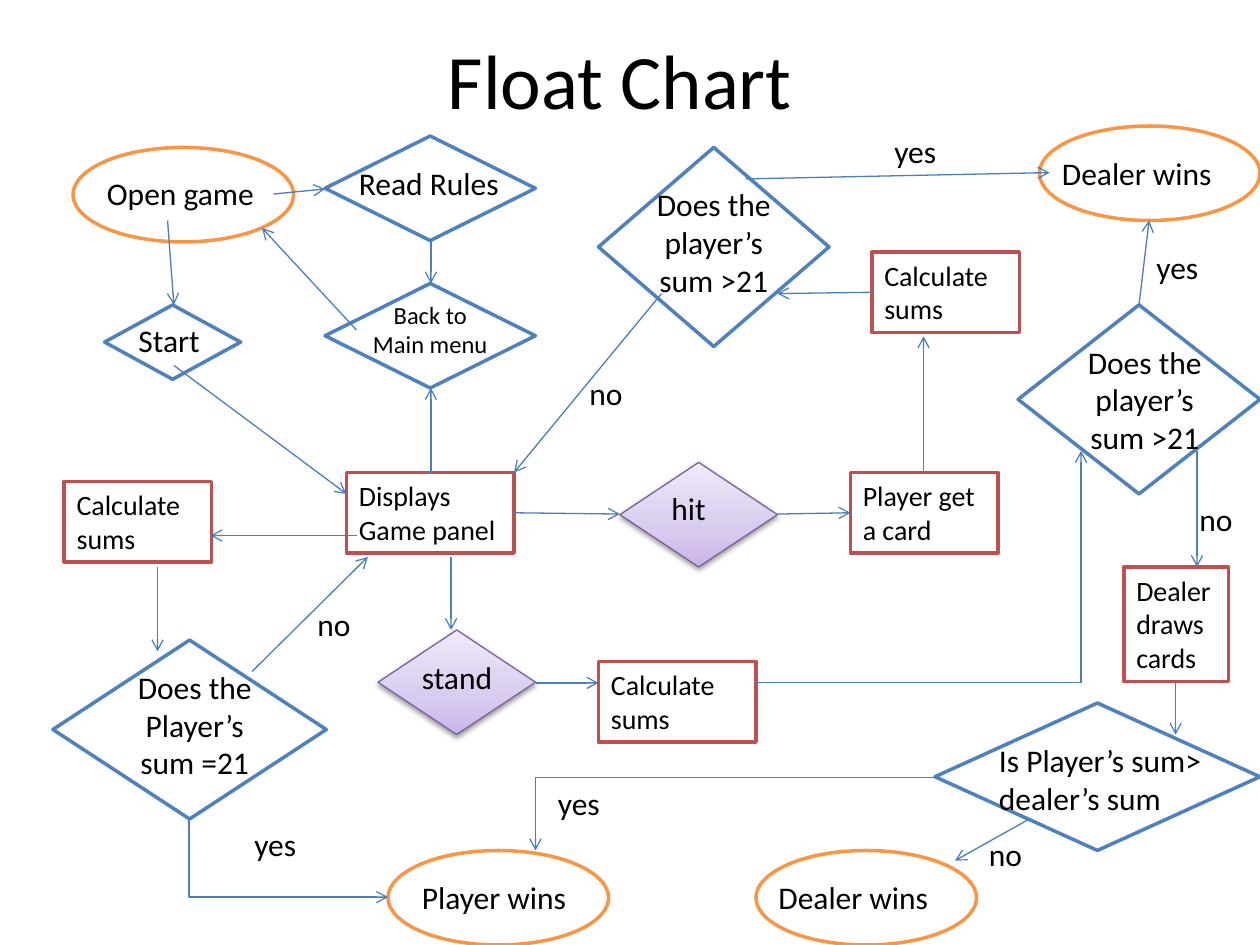
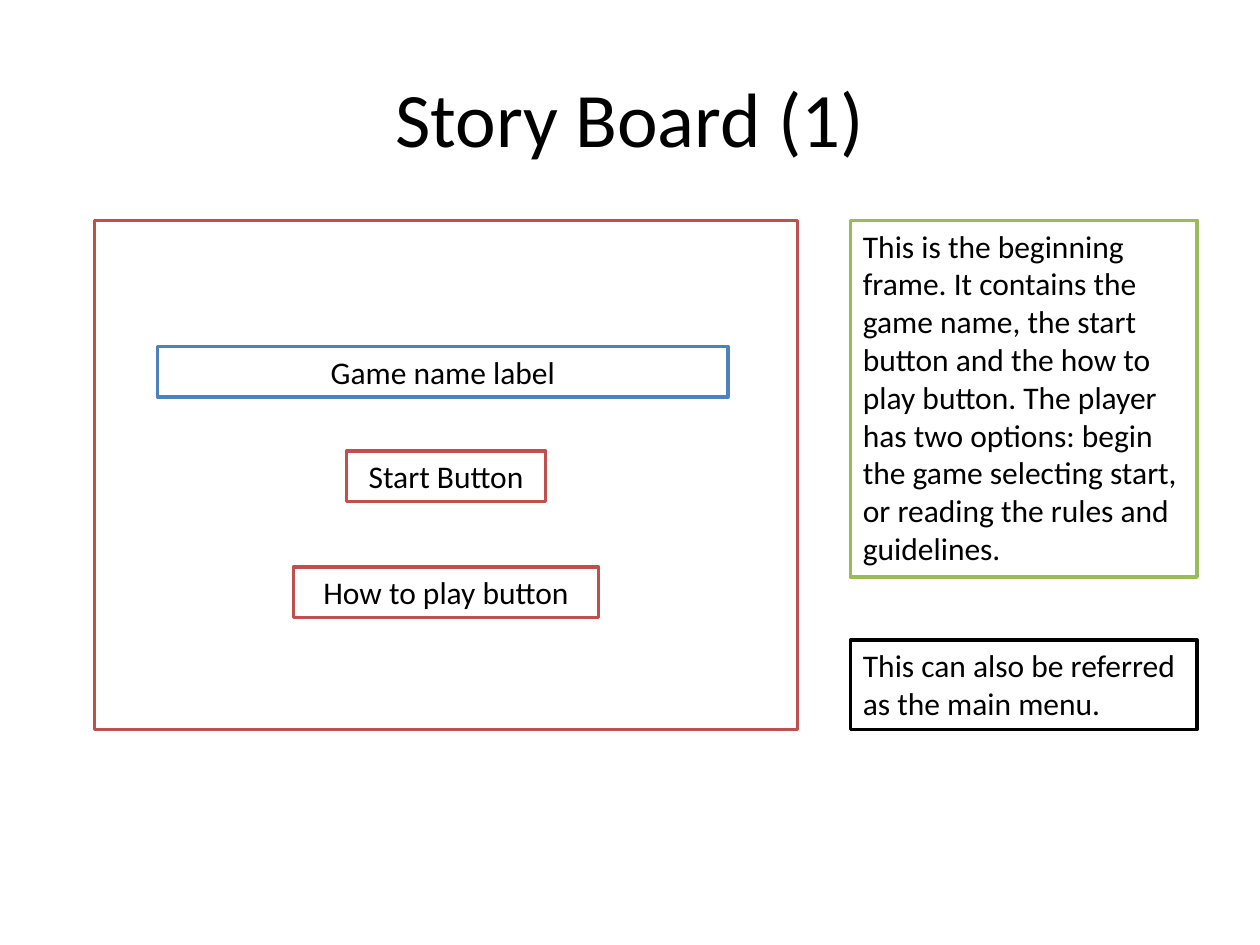
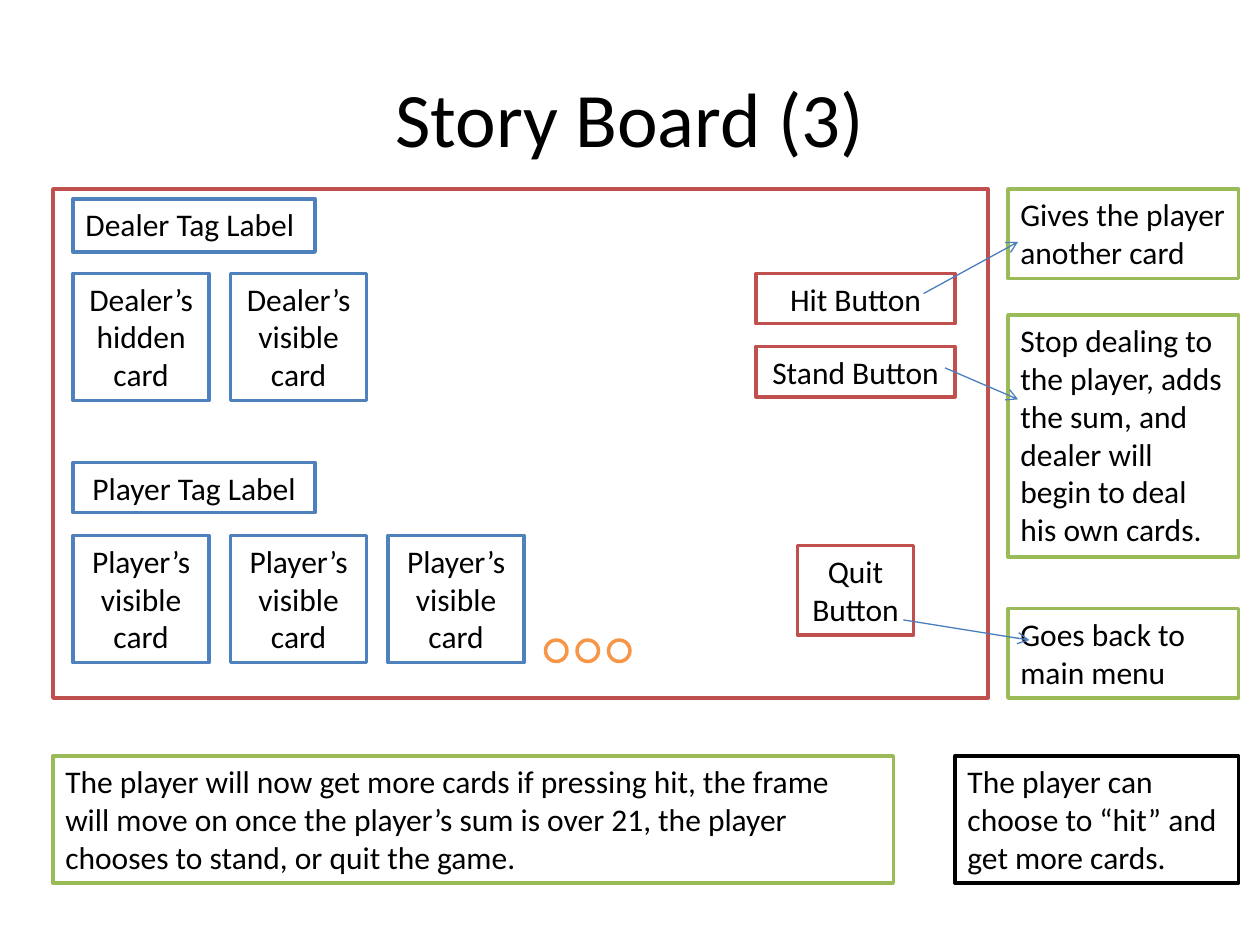
from copy import deepcopy
from dataclasses import dataclass

from lxml.etree import SubElement
from pptx import Presentation
from pptx.dml.color import RGBColor
from pptx.enum.shapes import MSO_CONNECTOR as LINK, MSO_SHAPE as GEOM
from pptx.enum.text import MSO_ANCHOR as ANCHOR, MSO_AUTO_SIZE as FIT, PP_ALIGN as ALIGN
from pptx.oxml.ns import qn
from pptx.util import Inches, Pt


@dataclass(frozen=True)
class Theme:
    font: str = "Calibri"
    ink: str = "000000"
    paper: str = "FFFFFF"
    blue: str = "4F81BD"
    red: str = "C0504D"
    green: str = "9BBB59"
    orange: str = "F79646"
    purple: str = "7D60A0"
    arrow: str = "4B7EBC"
    lilac: tuple = ((0, "C9B5E8"), (0.35, "D8CBEE"), (1, "F0EAF9"))
    title: int = 44
    body: int = 18
    step: int = 16
    small: int = 14
    outline: float = 2
    hairline: float = 0.75


THEME = Theme()


def rgb(code):
    return RGBColor.from_string(code)


class Board:
    """Holds the theme and the slide being drawn."""

    def __init__(self, theme):
        self.theme = theme
        self.deck = Presentation()
        self.deck.slide_width, self.deck.slide_height = Inches(10), Inches(7.5)

    def new_slide(self, heading, left=0.5, top=0.3):
        self.slide = self.deck.slides.add_slide(self.deck.slide_layouts[5])
        title = self.slide.shapes.title
        place = {"left": left, "top": top, "width": 9, "height": 1.25}
        for name, value in place.items():
            setattr(title, name, Inches(value))
        self.set_text(title, heading, self.theme.title, ALIGN.CENTER,
                      vertical_anchor=ANCHOR.MIDDLE, auto_size=FIT.NONE)

    def set_text(self, holder, text, size, align, **changes):
        frame = holder.text_frame
        layout = {"word_wrap": True, "auto_size": FIT.SHAPE_TO_FIT_TEXT,
                  "vertical_anchor": ANCHOR.TOP, **changes}
        for name, value in layout.items():
            setattr(frame, name, value)
        paragraph = frame.paragraphs[0]
        paragraph.alignment = align
        run = paragraph.add_run()
        run.text = text
        for name, value in {"name": self.theme.font, "size": Pt(size)}.items():
            setattr(run.font, name, value)
        run.font.color.rgb = rgb(self.theme.ink)

    def outline(self, geometry, color, *place, weight=None):
        shape = self.slide.shapes.add_shape(geometry, *map(Inches, place))
        shape.shadow.inherit = False
        shape.fill.solid()
        shape.fill.fore_color.rgb = rgb(self.theme.paper)
        shape.line.color.rgb = rgb(color)
        shape.line.width = Pt(weight or self.theme.outline)
        return shape

    def box(self, text, color, *place, align=ALIGN.LEFT, size=None):
        shape = self.outline(GEOM.RECTANGLE, color, *place)
        self.set_text(shape, text, size or self.theme.body, align)

    def label(self, text, *place, align=ALIGN.LEFT, size=None, wrap=True):
        holder = self.slide.shapes.add_textbox(*map(Inches, place))
        self.set_text(holder, text, size or self.theme.body, align, word_wrap=wrap)

    def choice(self, *place):
        """Lilac diamond with a soft shadow for a player's move."""
        shape = self.outline(GEOM.DIAMOND, self.theme.purple, *place,
                             weight=self.theme.hairline)
        shape.fill.gradient()
        shape.fill.gradient_angle = 90
        properties = shape._element.spPr
        stops = properties.find(".//" + qn("a:gsLst"))
        stops.insert(1, deepcopy(stops[0]))
        for stop, (position, color) in zip(shape.fill.gradient_stops, self.theme.lilac):
            stop.position = position
            stop.color.rgb = rgb(color)
        shadow = SubElement(properties.find(qn("a:effectLst")), qn("a:outerShdw"),
                            blurRad="40000", dist="20000", dir="5400000", rotWithShape="0")
        tone = SubElement(shadow, qn("a:srgbClr"), val=self.theme.ink)
        SubElement(tone, qn("a:alpha"), val="38000")

    def arrow(self, *ends, bend=None):
        """Straight arrow, or an elbow turning at the share bend of its width."""
        kind = LINK.STRAIGHT if bend is None else LINK.ELBOW
        link = self.slide.shapes.add_connector(kind, *map(Inches, ends))
        link.line.color.rgb = rgb(self.theme.arrow)
        link.line.width = Pt(self.theme.hairline)
        properties = link._element.spPr
        SubElement(properties.find(qn("a:ln")), qn("a:tailEnd"), type="arrow")
        SubElement(properties, qn("a:effectLst"))
        if bend is not None:
            guides = properties.find(".//" + qn("a:avLst"))
            SubElement(guides, qn("a:gd"), name="adj1", fmla=f"val {bend * 100000}")


def flow_chart(board):
    board.new_slide("Float Chart", 0.42, 0)

    # Outcomes and decisions
    for left, top in ((6, 6.75), (0.58, 1.17), (3.08, 6.75), (8.25, 1)):
        board.outline(GEOM.OVAL, THEME.orange, left, top, 1.75, 0.75)
    decisions = (
        (7.42, 5.58, 2.58, 1.17), (8.08, 2.42, 1.92, 1.5), (0.42, 5.08, 2.17, 1.42),
        (2.58, 2.25, 1.67, 0.83), (2.58, 1.08, 1.67, 0.83), (0.83, 2.42, 1.08, 0.59),
        (4.75, 1.17, 1.83, 1.58),
    )
    for place in decisions:
        board.outline(GEOM.DIAMOND, THEME.blue, *place)
    for left, top in ((4.92, 3.67), (3, 5)):
        board.choice(left, top, 1.25, 0.83)

    # Steps
    steps = (
        ("Player get a card", 6.75, 3.75, 1.17, 0.64),
        ("Displays Game panel", 2.75, 3.75, 1.33, 0.64),
        ("Calculate sums", 4.75, 5.25, 1.25, 0.64),
        ("Calculate sums", 6.92, 2, 1.17, 0.64),
        ("Calculate sums", 0.51, 3.82, 1.17, 0.64),
        ("Dealer draws cards", 8.92, 4.5, 0.83, 0.91),
    )
    for text, *place in steps:
        board.box(text, THEME.red, *place, size=THEME.step)

    # Wording of the outcomes and decisions
    for text, *place in (
        ("Read Rules", 2.75, 1.25, 1.42, 0.4),
        ("Is Player’s sum> dealer’s sum", 7.83, 5.83, 1.92, 0.71),
        ("Open game", 0.75, 1.33, 1.42, 0.4),
        ("Start", 1, 2.5, 0.75, 0.4),
        ("hit", 5.23, 3.83, 0.58, 0.4),
    ):
        board.label(text, *place)
    for text, *place in (
        ("Player wins", 3.25, 6.92, 1.36, 0.4),
        ("stand", 3.25, 5.17, 0.77, 0.4),
        ("Dealer wins", 8.33, 1.17, 1.4, 0.4),
        ("Dealer wins", 6.08, 6.92, 1.4, 0.4),
    ):
        board.label(text, *place, wrap=False)
    for text, *place in (
        ("Does the Player’s sum =21", 0.92, 5.25, 1.25, 1.01),
        ("Does the player’s sum >21", 8.5, 2.67, 1.17, 1.01),
        ("Does the player’s sum >21", 5.08, 1.42, 1.17, 1.01),
    ):
        board.label(text, *place, align=ALIGN.CENTER)
    board.label("Back to Main menu", 2.83, 2.33, 1.17, 0.57,
                align=ALIGN.CENTER, size=THEME.small)

    # Answers
    answers = {
        "yes": ((1.92, 6.5), (7, 1), (9.08, 1.92), (4.33, 6.17)),
        "no": ((2.42, 4.75), (4.58, 2.92), (9.42, 3.92), (7.75, 6.58)),
    }
    for answer, spots in answers.items():
        for left, top in spots:
            board.label(answer, left, top, 0.58, 0.4)

    # Flow
    for ends in (
        (2.17, 1.54, 2.58, 1.5), (3.42, 1.92, 3.42, 2.25), (2.83, 2.62, 2.08, 1.81),
        (1.33, 1.75, 1.38, 2.42), (1.38, 2.9, 2.75, 3.92), (3.42, 3.75, 3.42, 3.08),
        (2.83, 4.25, 1.67, 4.25), (2, 5.33, 2.92, 4.42), (4.08, 4.07, 4.92, 4.08),
        (3.58, 4.42, 3.58, 5), (4.25, 5.42, 4.75, 5.42), (6.17, 4.08, 6.75, 4.07),
        (5.25, 2.33, 4.08, 3.75), (5.92, 1.42, 8.33, 1.37), (9.04, 2.42, 9.12, 1.75),
        (7.33, 3.75, 7.33, 2.67), (6.92, 2.32, 6.17, 2.33), (1.25, 4.5, 1.25, 5.17),
        (9.5, 3.58, 9.5, 4.5), (9.33, 5.41, 9.33, 5.83), (8.17, 6.5, 7.58, 6.83),
    ):
        board.arrow(*ends)
    board.arrow(6, 5.42, 8.58, 3.58, bend=1)
    board.arrow(7.42, 6.17, 4.25, 6.75, bend=1)
    board.arrow(1.5, 6.5, 3.08, 7.12, bend=0)


def opening_frame(board):
    board.new_slide("Story Board (1)")

    # Game window
    board.outline(GEOM.RECTANGLE, THEME.red, 0.75, 1.75, 5.58, 4.04)
    for text, color, *place in (
        ("Game name label", THEME.blue, 1.25, 2.75, 4.53, 0.4),
        ("Start Button", THEME.red, 2.75, 3.58, 1.58, 0.4),
        ("How to play button", THEME.red, 2.33, 4.5, 2.42, 0.4),
    ):
        board.box(text, color, *place, align=ALIGN.CENTER)

    # Notes beside the window
    board.box("This is the beginning frame. It contains the game name, the start button "
              "and the how to play button. The player has two options: begin the game "
              "selecting start, or reading the rules and guidelines.",
              THEME.green, 6.75, 1.75, 2.75, 2.83)
    board.box("This can also be referred as the main menu.",
              THEME.ink, 6.75, 5.08, 2.75, 0.71)


def playing_frame(board):
    board.new_slide("Story Board (3)")
    board.outline(GEOM.RECTANGLE, THEME.red, 0.42, 1.5, 7.42, 4.04)

    # Name tags and rows of cards
    board.box("Dealer Tag Label", THEME.blue, 0.58, 1.58, 1.92, 0.42)
    board.box("Player Tag Label", THEME.blue, 0.58, 3.67, 1.92, 0.4, align=ALIGN.CENTER)
    hands = (
        (2.17, ("Dealer’s hidden card", "Dealer’s visible card")),
        (4.25, ("Player’s visible card",) * 3),
    )
    for top, cards in hands:
        for column, card in enumerate(cards):
            board.box(card, THEME.blue, 0.58 + 1.25 * column, top, 1.08, 1.01,
                      align=ALIGN.CENTER)
    for dot in range(3):
        board.outline(GEOM.OVAL, THEME.orange, 4.33 + 0.25 * dot, 5.08, 0.17, 0.17)

    # Buttons and what they do
    for text, *place in (
        ("Hit Button", 6, 2.17, 1.58, 0.4),
        ("Stand Button", 6, 2.75, 1.58, 0.4),
        ("Quit Button", 6.33, 4.33, 0.92, 0.71),
    ):
        board.box(text, THEME.red, *place, align=ALIGN.CENTER)
    for text, top, height in (
        ("Gives the player another card", 1.5, 0.71),
        ("Stop dealing to the player, adds the sum, and dealer will begin to deal "
         "his own cards.", 2.5, 1.92),
        ("Goes back to main menu", 4.83, 0.71),
    ):
        board.box(text, THEME.green, 8, top, 1.83, height)
    for ends in ((7.33, 2.33, 8.08, 1.92), (7.5, 2.92, 8.08, 3.17), (7.17, 4.92, 8.17, 5.08)):
        board.arrow(*ends)

    # Notes under the window
    board.box("The player will now get more cards if pressing hit, the frame will move on "
              "once the player’s sum is over 21, the player chooses to stand, or quit "
              "the game.", THEME.green, 0.42, 6, 6.67, 1.01)
    board.box("The player can choose to “hit” and get more cards.",
              THEME.ink, 7.58, 6, 2.25, 1.01)


def main():
    board = Board(THEME)
    for draw in (flow_chart, opening_frame, playing_frame):
        draw(board)
    board.deck.save("out.pptx")


if __name__ == "__main__":
    main()
